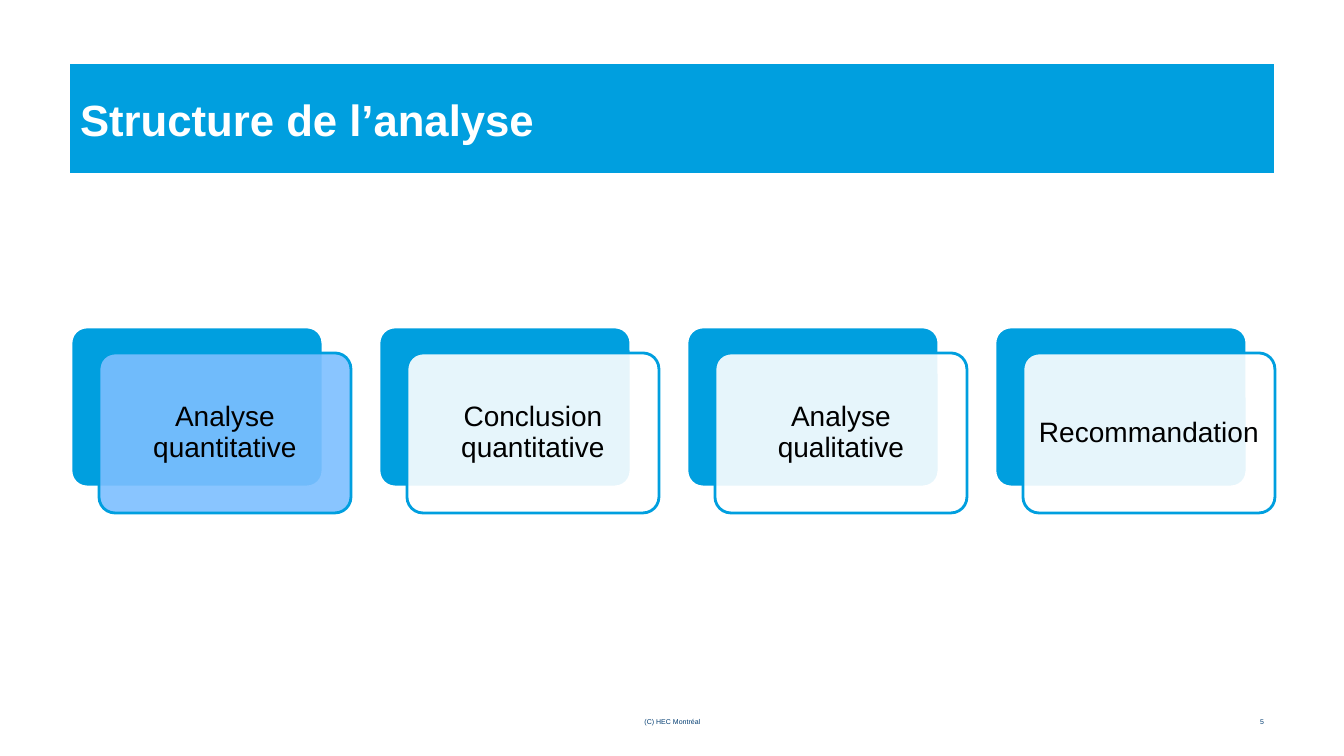
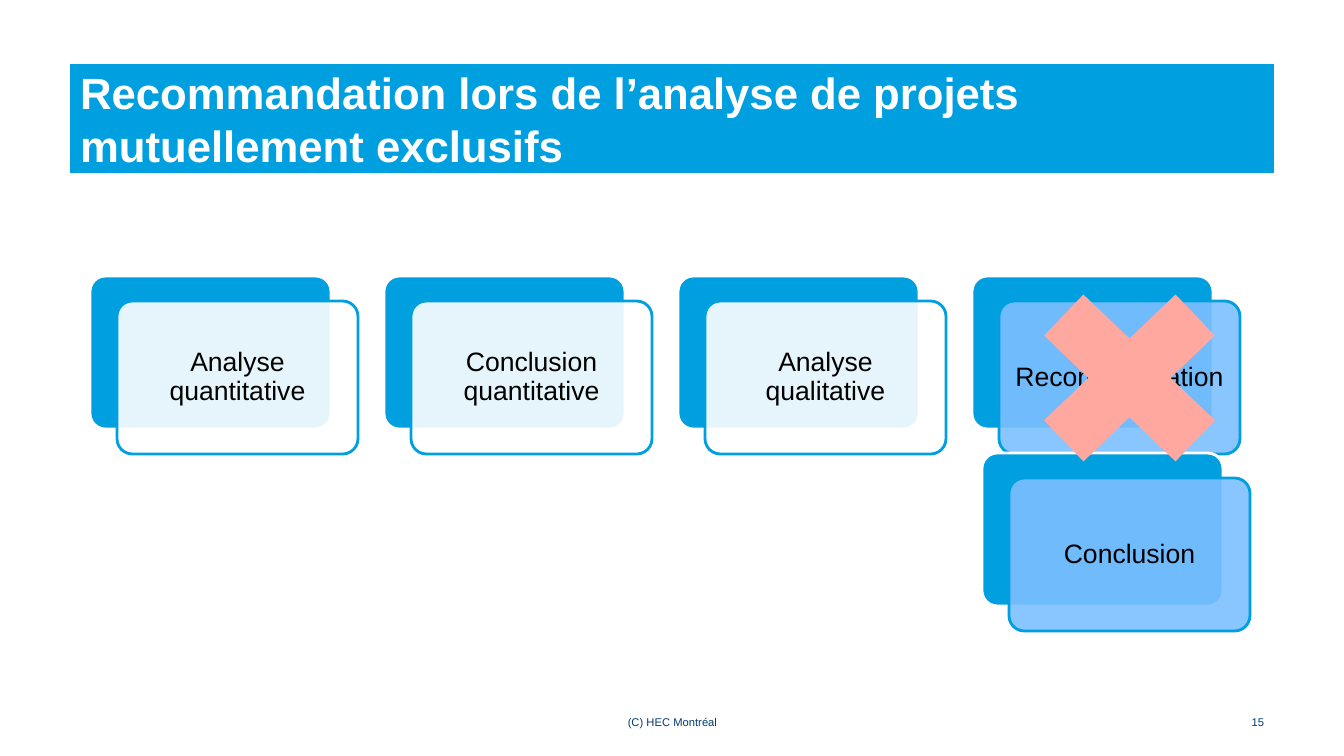
from lxml import etree
from pptx import Presentation
from pptx import util as u
from pptx.dml.color import RGBColor
from pptx.enum import shapes, text
from pptx.oxml import ns

PX = 12700 * 5 / 7
FONT = "Arial"
BLUE = RGBColor(0x00, 0x9F, 0xDF)
LIGHT_BLUE = RGBColor(0x7D, 0xBF, 0xFF)
NAVY = RGBColor(0x00, 0x3C, 0x71)
SALMON = RGBColor(0xFF, 0xA8, 0x9F)
WHITE = RGBColor(0xFF, 0xFF, 0xFF)
BLACK = RGBColor(0x00, 0x00, 0x00)

STEPS = ["Analyse quantitative", "Conclusion quantitative", "Analyse qualitative", "Recommandation"]
SLIDES = [
    {
        "title": "Structure de l’analyse",
        "number": "5", "footer_size": 5, "card_size": 20,
        "left": 71, "top": 327, "pitch": 308,
        "width": 252, "height": 160, "shift": (28, 26),
        "highlighted": ["Analyse quantitative"], "extra": [],
    },
    {
        "title": "Recommandation lors de l’analyse de projets mutuellement exclusifs",
        "number": "15", "footer_size": 8, "card_size": 19,
        "left": 90, "top": 276, "pitch": 294,
        "width": 241, "height": 153, "shift": (27, 25),
        "highlighted": ["Recommandation", "Conclusion"], "extra": [("Conclusion", 982, 453)],
    },
]


def box(*lengths):
    return [u.Emu(round(length * PX)) for length in lengths]


def write(shape, words, size, color, alignment, bold=False):
    frame = shape.text_frame
    frame.text = words
    frame.word_wrap = True
    frame.auto_size = text.MSO_AUTO_SIZE.NONE
    frame.vertical_anchor = text.MSO_ANCHOR.MIDDLE
    paragraph = frame.paragraphs[0]
    paragraph.alignment = alignment
    font = paragraph.runs[0].font
    font.name, font.size, font.bold = FONT, u.Pt(size), bold
    font.color.rgb = color
    return paragraph


presentation = Presentation()
presentation.slide_width, presentation.slide_height = box(1344, 756)

for content in SLIDES:
    slide = presentation.slides.add_slide(presentation.slide_layouts[5])

    title = slide.shapes.title
    title.left, title.top, title.width, title.height = box(70, 64, 1204, 109)
    title.fill.solid()
    title.fill.fore_color.rgb = BLUE
    write(title, content["title"], 31.2, WHITE, text.PP_ALIGN.LEFT, bold=True)

    for words, left, width, alignment in [
        ("(C) HEC Montréal", 460, 425, text.PP_ALIGN.CENTER),
        (content["number"], 1206, 68, text.PP_ALIGN.RIGHT),
    ]:
        footer = slide.shapes.add_textbox(*box(left, 713, width, 18))
        write(footer, words, content["footer_size"], NAVY, alignment)

    cards = [
        (step, content["left"] + index * content["pitch"], content["top"])
        for index, step in enumerate(STEPS)
    ]
    shift_x, shift_y = content["shift"]
    for words, left, top in cards + content["extra"]:
        front_fill = LIGHT_BLUE if words in content["highlighted"] else WHITE
        for x, y, fill, line in [
            (left, top, BLUE, WHITE),
            (left + shift_x, top + shift_y, front_fill, BLUE),
        ]:
            card = slide.shapes.add_shape(
                shapes.MSO_SHAPE.ROUNDED_RECTANGLE,
                *box(x, y, content["width"], content["height"]),
            )
            card.adjustments[0] = 0.1
            card.shadow.inherit = False
            card.fill.solid()
            card.fill.fore_color.rgb = fill
            card.line.color.rgb = line
            card.line.width = u.Pt(2)
        color = card.fill._xPr.find(ns.qn("a:solidFill"))[0]
        etree.SubElement(color, ns.qn("a:alpha"), val="90000")
        paragraph = write(card, words, content["card_size"], BLACK, text.PP_ALIGN.CENTER)
        paragraph.line_spacing = 0.9
        frame = card.text_frame
        frame.margin_left, frame.margin_top, frame.margin_right, frame.margin_bottom = box(8, 8, 8, 8)

cross = slide.shapes.add_shape(shapes.MSO_SHAPE.MATH_MULTIPLY, *box(1003, 257, 253, 242))
cross.shadow.inherit = False
cross.fill.solid()
cross.fill.fore_color.rgb = SALMON
cross.line.fill.background()

presentation.save("out.pptx")
